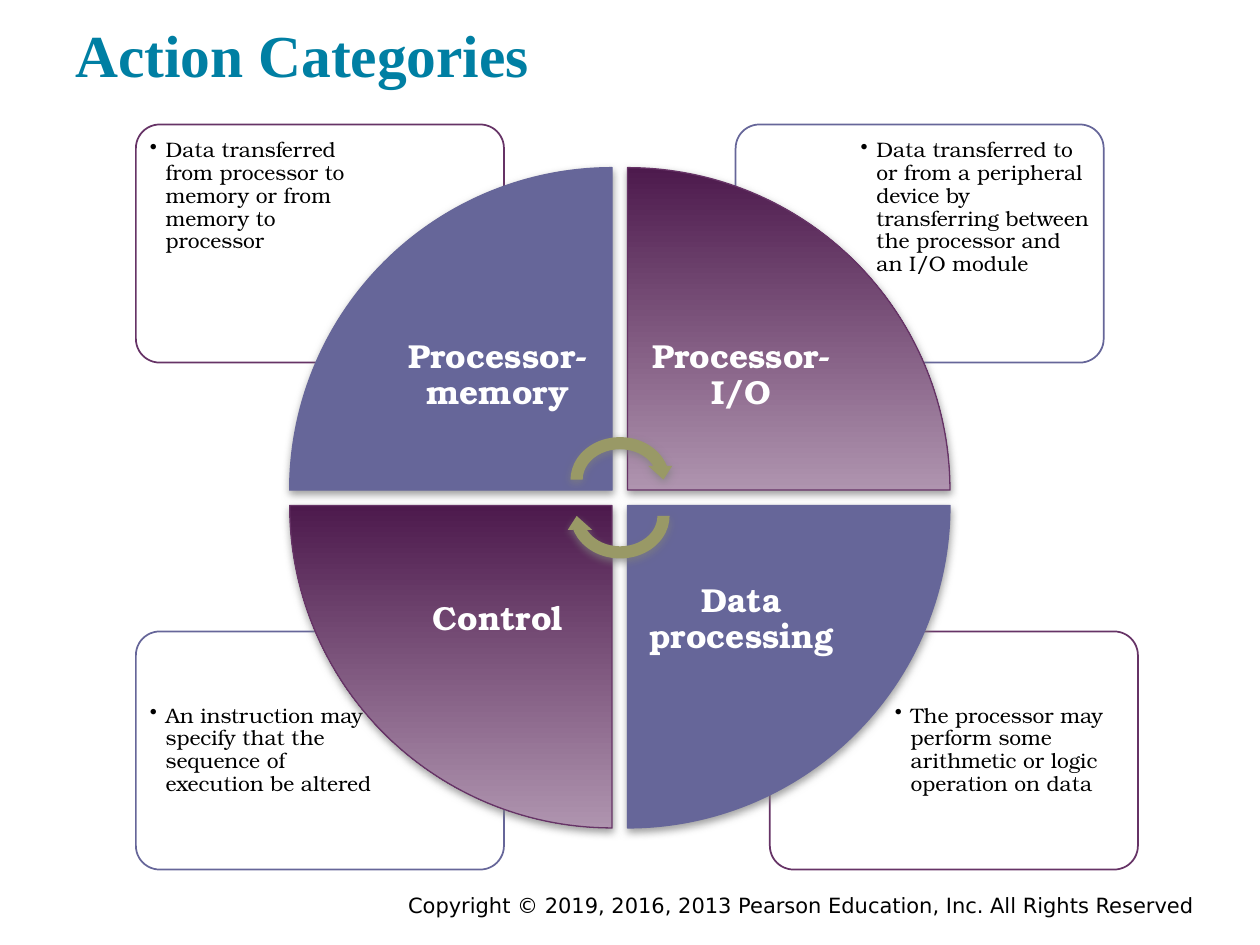
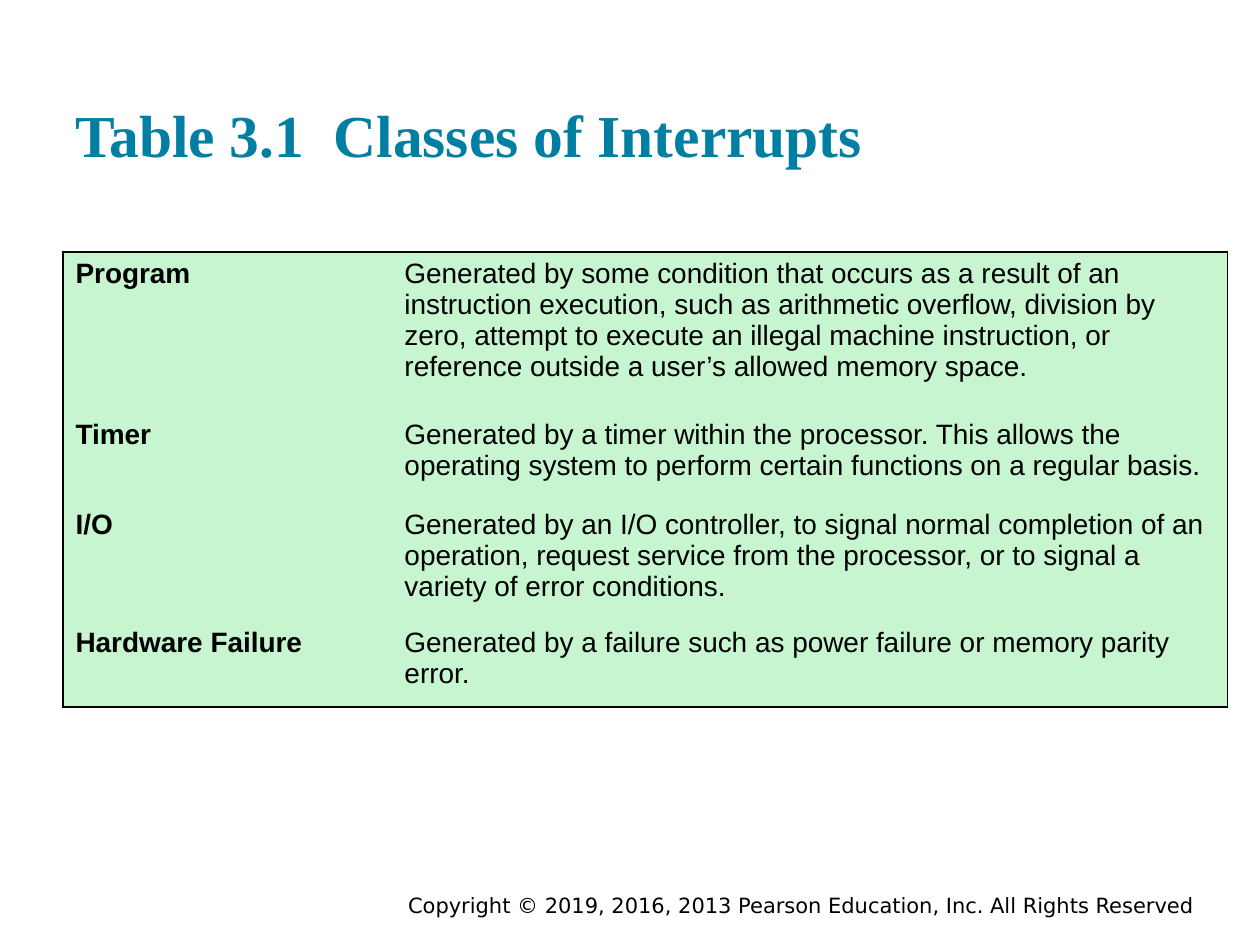
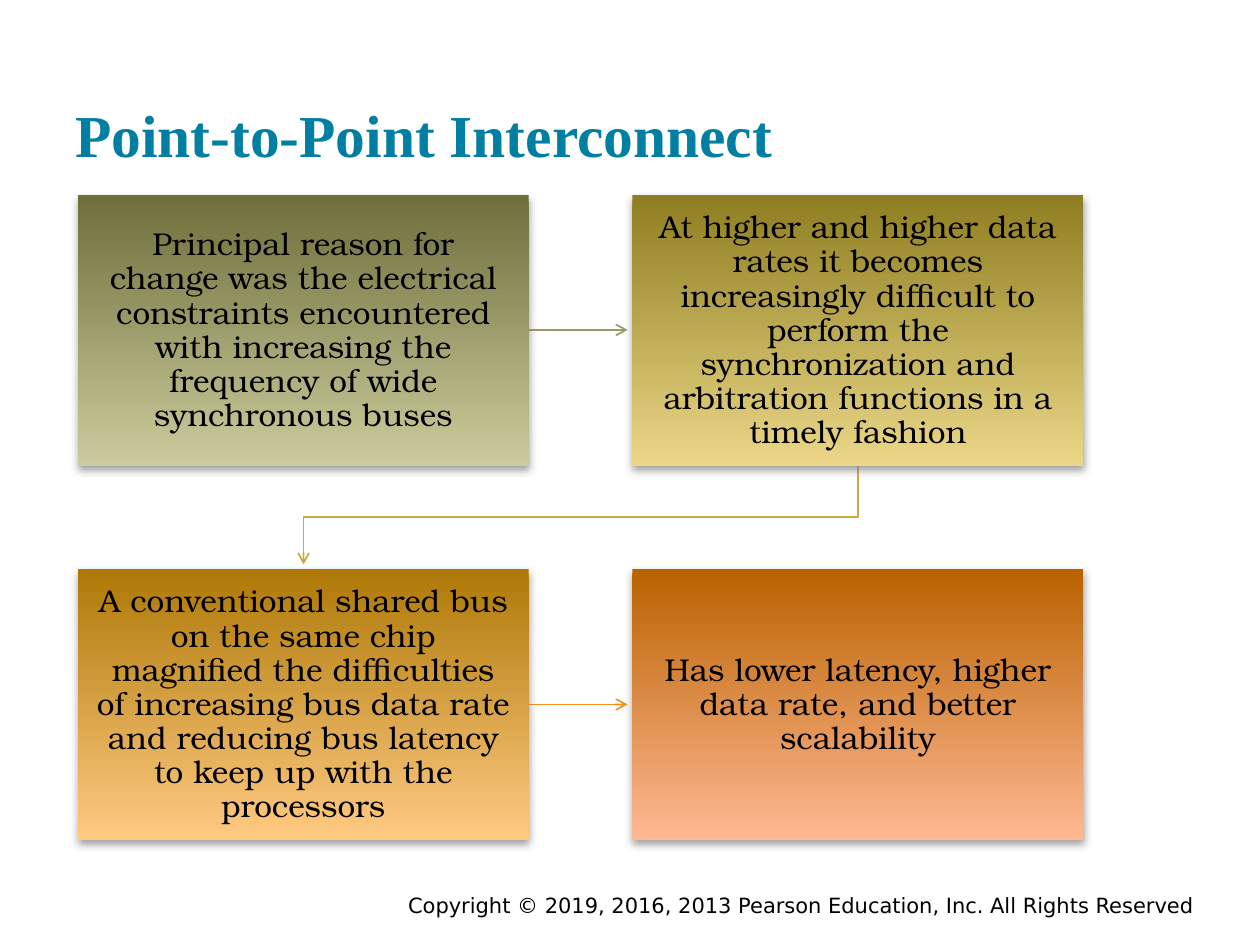
from lxml.etree import SubElement
from pptx import Presentation
from pptx.dml.color import RGBColor
from pptx.enum.shapes import MSO_CONNECTOR, MSO_SHAPE
from pptx.enum.text import MSO_ANCHOR, PP_ALIGN
from pptx.oxml.ns import qn
from pptx.util import Cm, Pt

BLACK, WHITE, TEAL = "000000", "FFFFFF", "007FA3"
PURPLE, SLATE, OLIVE = "663366", "666699", "999966"
PURPLE_FADE = ("4D1A4D", "AF94AF")
MINT = "C6F5CF"
SERIF = "TeX Gyre Bonum"
NO_STYLE_NO_GRID = "{2D5ABB26-0587-4C30-8999-92F81FD0307C}"
COPYRIGHT = "Copyright © 2019, 2016, 2013 Pearson Education, Inc. All Rights Reserved"


def paint(shape, fill, line=None, line_width=1, shadow=False):
    """Fill with one colour, or with a top-to-bottom pair; set outline and shadow."""
    properties = shape._element.spPr
    if isinstance(fill, tuple):
        shape.fill.gradient()
        shape.fill.gradient_angle = 270
        for stop, color in zip(shape.fill.gradient_stops, fill):
            stop.color.rgb = RGBColor.from_string(color)
        properties.find(qn("a:gradFill")).set("rotWithShape", "0")
    else:
        shape.fill.solid()
        shape.fill.fore_color.rgb = RGBColor.from_string(fill)
    if line:
        shape.line.color.rgb = RGBColor.from_string(line)
        shape.line.width = Pt(line_width)
    else:
        shape.line.fill.background()
    shape.shadow.inherit = False
    if shadow:
        outer = SubElement(properties.find(qn("a:effectLst")), qn("a:outerShdw"),
                           blurRad=str(Pt(5)), dist=str(Pt(2)), dir="5400000", rotWithShape="0")
        color = SubElement(outer, qn("a:srgbClr"), val="808080")
        SubElement(color, qn("a:alpha"), val="75000")


def write(frame, text, size, color=BLACK, font=SERIF, bold=False, align=PP_ALIGN.LEFT,
          anchor=MSO_ANCHOR.TOP, inset=0.25, spacing=None):
    frame.text = text
    frame.word_wrap = True
    frame.vertical_anchor = anchor
    frame.margin_left = frame.margin_right = Cm(inset)
    frame.margin_top = frame.margin_bottom = Cm(inset)
    para = frame.paragraphs[0]
    para.alignment = align
    para.line_spacing = spacing
    span = para.runs[0]
    span.font.name = font
    span.font.size = Pt(size)
    span.font.bold = bold
    span.font.color.rgb = RGBColor.from_string(color)


deck = Presentation()
deck.slide_width, deck.slide_height = Cm(25.4), Cm(19.05)

# Titles and footers
pages = []
for title, top, height in [
    ("Action Categories", 0.33, 1.73),
    ("Table 3.1  Classes of Interrupts", 0.61, 3.05),
    ("Point-to-Point Interconnect", 0.61, 3.05),
]:
    page = deck.slides.add_slide(deck.slide_layouts[5])
    heading = page.shapes.title
    heading.left, heading.top, heading.width, heading.height = Cm(1.27), Cm(top), Cm(22.86), Cm(height)
    write(heading.text_frame, title, 34, TEAL, "Times New Roman", True, anchor=MSO_ANCHOR.BOTTOM)
    footer = page.shapes.add_textbox(Cm(4.45), Cm(17.86), Cm(19.88), Cm(0.56))
    write(footer.text_frame, COPYRIGHT, 12, font="DejaVu Sans", align=PP_ALIGN.RIGHT, inset=0.25)
    footer.text_frame.margin_top = footer.text_frame.margin_bottom = Cm(0.13)
    pages.append(page)
categories_page, interrupts_page, interconnect_page = pages

# Action categories: four wedges, clockwise from the top left, each with a callout
WEDGE, WEDGE_STEP, LABEL = 6.5, 6.81, 4.6
quadrants = [
    (0, 0, 2.74, "Processor-memory",
     "Data transferred from processor to memory or from memory to processor"),
    (1, 0, 14.83, "Processor-I/O",
     "Data transferred to or from a peripheral device by transferring between "
     "the processor and an I/O module"),
    (1, 1, 15.52, "Data processing",
     "The processor may perform some arithmetic or logic operation on data"),
    (0, 1, 2.74, "Control",
     "An instruction may specify that the sequence of execution be altered"),
]
shapes = categories_page.shapes
for index, (column, row, callout_left, category, action) in enumerate(quadrants):
    wedge_fill, wedge_line, callout_line = (
        (PURPLE_FADE, PURPLE, SLATE) if index % 2 else (SLATE, SLATE, PURPLE))

    callout_top = 2.51 + row * 10.22
    callout = shapes.add_shape(MSO_SHAPE.ROUNDED_RECTANGLE, Cm(callout_left), Cm(callout_top),
                               Cm(7.42), Cm(4.8))
    callout.adjustments[0] = 0.1
    paint(callout, WHITE, callout_line)
    note = shapes.add_textbox(Cm(callout_left + (2.34 if column else 0.1)),
                              Cm(callout_top + (1.3 if row else 0.13)), Cm(4.98), Cm(3.38))
    write(note.text_frame, action, 12, inset=0.18, spacing=0.9)
    bullet_format = note.text_frame.paragraphs[0]._p.get_or_add_pPr()
    bullet_format.set("marL", str(Cm(0.32)))
    bullet_format.set("indent", str(-Cm(0.32)))
    SubElement(bullet_format, qn("a:buChar"), char="•")

    wedge_left, wedge_top = 5.84 + column * WEDGE_STEP, 3.38 + row * WEDGE_STEP
    wedge = shapes.add_shape(MSO_SHAPE.PIE_WEDGE, Cm(wedge_left), Cm(wedge_top), Cm(WEDGE), Cm(WEDGE))
    wedge.rotation = 90 * index
    paint(wedge, wedge_fill, wedge_line, 0.75, shadow=True)
    label = shapes.add_textbox(Cm(wedge_left + (1 - column) * (WEDGE - LABEL)),
                               Cm(wedge_top + (1 - row) * (WEDGE - LABEL)), Cm(LABEL), Cm(LABEL))
    write(label.text_frame, category, 19, WHITE, bold=True, align=PP_ALIGN.CENTER,
          anchor=MSO_ANCHOR.MIDDLE, inset=0.38, spacing=0.9)

for top, rotation in [(8.69, 0), (9.42, 180)]:
    cycle_arrow = shapes.add_shape(MSO_SHAPE.CIRCULAR_ARROW, Cm(11.38), Cm(top), Cm(2.24), Cm(1.96))
    cycle_arrow.rotation = rotation
    paint(cycle_arrow, OLIVE, shadow=True)

# Classes of interrupts: a plain table with an outer border
interrupts = [
    ("Program", 3.25,
     "Generated by some condition that occurs as a result of an instruction execution, such as "
     "arithmetic overflow, division by zero, attempt to execute an illegal machine instruction, "
     "or reference outside a user’s allowed memory space."),
    ("Timer", 1.8,
     "Generated by a timer within the processor. This allows the operating system to perform "
     "certain functions on a regular basis."),
    ("I/O", 2.39,
     "Generated by an I/O controller, to signal normal completion of an operation, request "
     "service from the processor, or to signal a variety of error conditions."),
    ("Hardware Failure", 1.73,
     "Generated by a failure such as power failure or memory parity error."),
]
table = interrupts_page.shapes.add_table(len(interrupts), 2, Cm(1.27), Cm(5.08), Cm(23.47), Cm(9.17)).table
table.first_row = table.horz_banding = False
table._tbl.tblPr.find(qn("a:tableStyleId")).text = NO_STYLE_NO_GRID
table.columns[0].width, table.columns[1].width = Cm(6.63), Cm(16.84)
last_row = len(interrupts) - 1
for row, (name, height, description) in enumerate(interrupts):
    table.rows[row].height = Cm(height)
    for column, text in enumerate((name, description)):
        cell = table.cell(row, column)
        cell.text = text
        span = cell.text_frame.paragraphs[0].runs[0]
        span.font.name, span.font.size, span.font.bold = "Arial", Pt(16), column == 0
        span.font.color.rgb = RGBColor.from_string(BLACK)
        edges = {"L": column == 0, "R": column == 1, "T": row == 0, "B": row == last_row}
        for side, is_outer in edges.items():
            if is_outer:
                border = SubElement(cell._tc.get_or_add_tcPr(), qn(f"a:ln{side}"), w=str(Pt(1)))
                border_fill = SubElement(border, qn("a:solidFill"))
                SubElement(border_fill, qn("a:srgbClr"), val=BLACK)
        cell.fill.solid()
        cell.fill.fore_color.rgb = RGBColor.from_string(MINT)

# Point-to-point interconnect: four steps joined by arrows
shapes = interconnect_page.shapes
elbow_outline = shapes.build_freeform(Cm(17.3), Cm(9.4))
elbow_outline.add_line_segments(
    [(Cm(17.3), Cm(10.42)), (Cm(6.12), Cm(10.42)), (Cm(6.12), Cm(11.38))], close=False)
elbow = elbow_outline.convert_to_shape()
elbow.fill.background()
upper, lower = [
    shapes.add_connector(MSO_CONNECTOR.STRAIGHT, Cm(10.65), Cm(y), Cm(12.65), Cm(y))
    for y in (6.65, 14.2)
]
for arrow, color in [(upper, OLIVE), (elbow, "CAA940"), (lower, "F7901E")]:
    arrow.line.color.rgb = RGBColor.from_string(color)
    arrow.line.width = Pt(1)
    properties = arrow._element.spPr
    SubElement(properties.find(qn("a:ln")), qn("a:tailEnd"), type="arrow")
    SubElement(properties, qn("a:effectLst"))

steps = [
    (("6F6F3C", "CBCB9D"),
     "Principal reason for change was the electrical constraints encountered with increasing "
     "the frequency of wide synchronous buses"),
    (("8F7E21", "EBD787"),
     "At higher and higher data rates it becomes increasingly difficult to perform the "
     "synchronization and arbitration functions in a timely fashion"),
    (("AE7907", "FFCA82"),
     "A conventional shared bus on the same chip magnified the difficulties of increasing bus "
     "data rate and reducing bus latency to keep up with the processors"),
    (("BA6200", "FFB993"),
     "Has lower latency, higher data rate, and better scalability"),
]
for index, (fade, text) in enumerate(steps):
    row, column = divmod(index, 2)
    box = shapes.add_shape(MSO_SHAPE.RECTANGLE, Cm(1.57 + column * 11.18), Cm(3.94 + row * 7.54),
                           Cm(9.09), Cm(5.46))
    paint(box, fade, shadow=True)
    write(box.text_frame, text, 18, align=PP_ALIGN.CENTER, anchor=MSO_ANCHOR.MIDDLE,
          inset=0.36, spacing=0.9)

deck.save("out.pptx")
